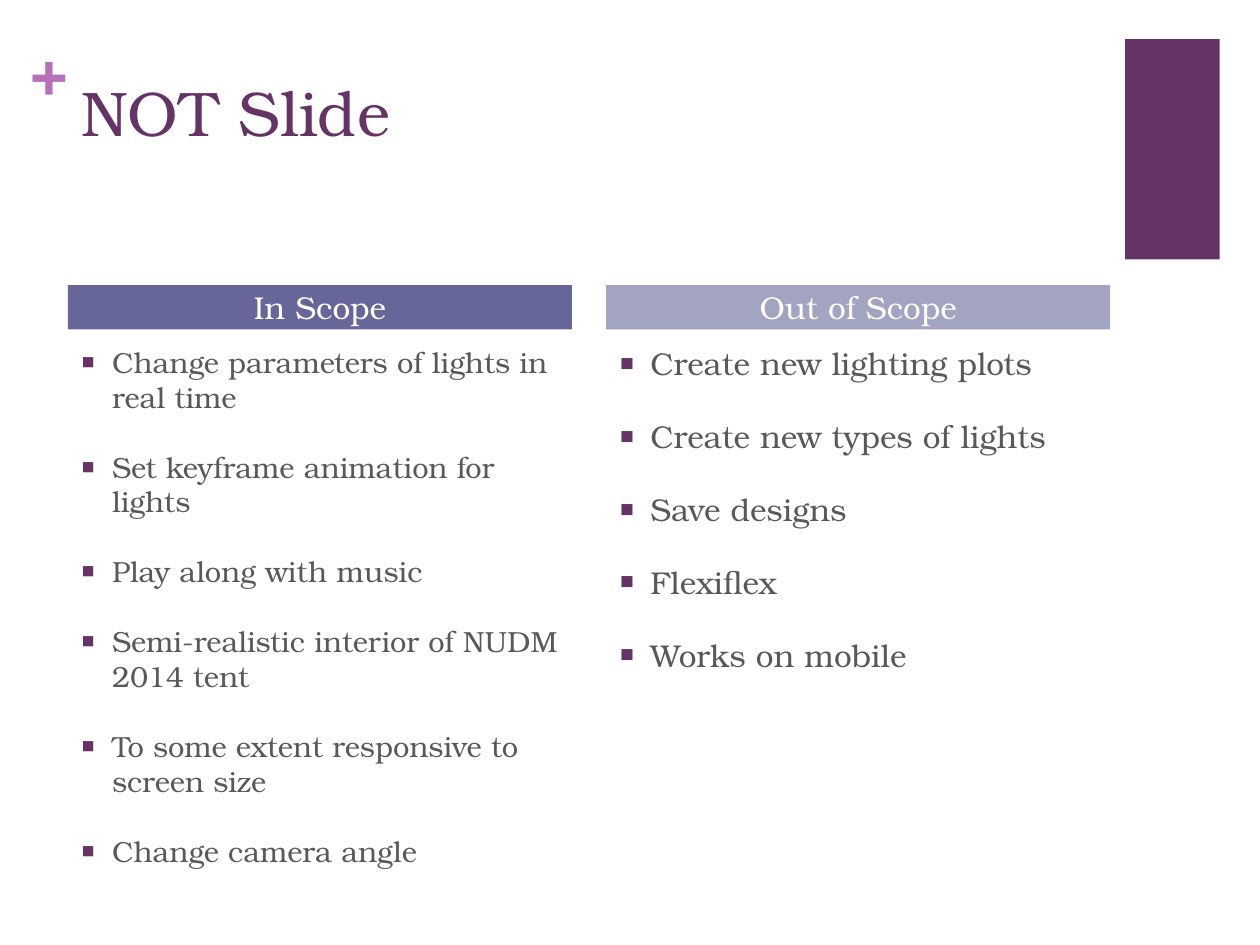
from dataclasses import dataclass

from lxml.etree import SubElement as SubEl
from pptx import Presentation as Deck
from pptx.dml.color import RGBColor as Rgb
from pptx.enum.shapes import MSO_SHAPE as Kind
from pptx.enum.text import MSO_ANCHOR as Anchor, PP_ALIGN as Align
from pptx.oxml.ns import qn
from pptx.util import Cm, Pt

FONT = "TeX Gyre Bonum"
PLUM = Rgb(0x66, 0x33, 0x66)
PINK = Rgb(0xB8, 0x70, 0xB8)
SLATE = Rgb(0x66, 0x66, 0x99)
LILAC = Rgb(0xA3, 0xA3, 0xC2)
GREY = Rgb(0x59, 0x59, 0x59)
WHITE = Rgb(0xFF, 0xFF, 0xFF)

LEFT, STEP, WIDTH = 1.37, 10.85, 10.16
INDENT = Cm(0.64)


@dataclass
class Column:
    """One scope list with its heading."""
    head: str
    fill: Rgb
    size: float
    items: list[str]


COLUMNS = [
    Column("In Scope", SLATE, 16.6, [
        "Change parameters of lights in real time",
        "Set keyframe animation for lights",
        "Play along with music",
        "Semi-realistic interior of NUDM 2014 tent",
        "To some extent responsive to screen size",
        "Change camera angle",
    ]),
    Column("Out of Scope", LILAC, 18, [
        "Create new lighting plots",
        "Create new types of lights",
        "Save designs",
        "Flexiflex",
        "Works on mobile",
    ]),
]


def add_mark(para) -> None:
    """Give a paragraph a hanging square bullet."""
    props = para._p.get_or_add_pPr()
    props.set("marL", str(INDENT))
    props.set("indent", str(-INDENT))
    color = SubEl(props, qn("a:buClr"))
    SubEl(color, qn("a:srgbClr"), val=str(PLUM))
    SubEl(props, qn("a:buSzPct"), val="75000")
    SubEl(props, qn("a:buFont"), typeface=FONT)
    SubEl(props, qn("a:buChar"), char="■")


def write(shape, *lines: str, size: float, color: Rgb, bold: bool = False,
          align=Align.LEFT, anchor=Anchor.TOP, side: float = 0.25,
          edge: float = 0.13, gap: float = 0, mark: bool = False) -> None:
    """Fill a shape with formatted paragraphs."""
    frame = shape.text_frame
    frame.word_wrap = True
    frame.vertical_anchor = anchor
    frame.margin_left = frame.margin_right = Cm(side)
    frame.margin_top = frame.margin_bottom = Cm(edge)
    for place, line in enumerate(lines):
        para = frame.add_paragraph() if place else frame.paragraphs[0]
        para.alignment = align
        para.space_before = Pt(gap if place else 0)
        if mark:
            add_mark(para)
        run = para.add_run()
        run.text = line
        font = run.font
        font.name, font.size, font.bold = FONT, Pt(size), bold
        font.color.rgb = color


def add_box(slide, *place: float):
    """Add a text box at left, top, width, height in centimetres."""
    return slide.shapes.add_textbox(*map(Cm, place))


def add_block(slide, fill: Rgb, *place: float):
    """Add a plain filled rectangle."""
    block = slide.shapes.add_shape(Kind.RECTANGLE, *map(Cm, place))
    block.shadow.inherit = False
    block.fill.solid()
    block.fill.fore_color.rgb = fill
    block.line.fill.background()
    return block


def add_column(slide, column: Column, left: float) -> None:
    """Draw a heading bar and the list below it."""
    items = add_box(slide, left, 6.81, WIDTH, 10.21)
    write(items, *column.items, size=column.size, color=GREY, gap=20, mark=True)
    bar = add_block(slide, column.fill, left, 5.75, WIDTH, 0.89)
    write(bar, column.head, size=18, color=WHITE, align=Align.CENTER,
          anchor=Anchor.MIDDLE, edge=0)


def main() -> None:
    """Build the slide and save it."""
    deck = Deck()
    deck.slide_width, deck.slide_height = Cm(25.4), Cm(19.05)
    slide = deck.slides.add_slide(deck.slide_layouts[6])
    add_block(slide, PLUM, 22.68, 0.79, 1.91, 4.44)
    plus = add_box(slide, 0.61, 0.64, 0.74, 1.55)
    write(plus, "+", size=36, color=PINK, bold=True, side=0, edge=0)
    title = add_box(slide, 1.4, 1.35, 20.98, 3.1)
    write(title, "NOT Slide", size=36, color=PLUM)
    for place, column in enumerate(COLUMNS):
        add_column(slide, column, LEFT + place * STEP)
    deck.save("out.pptx")


main()
